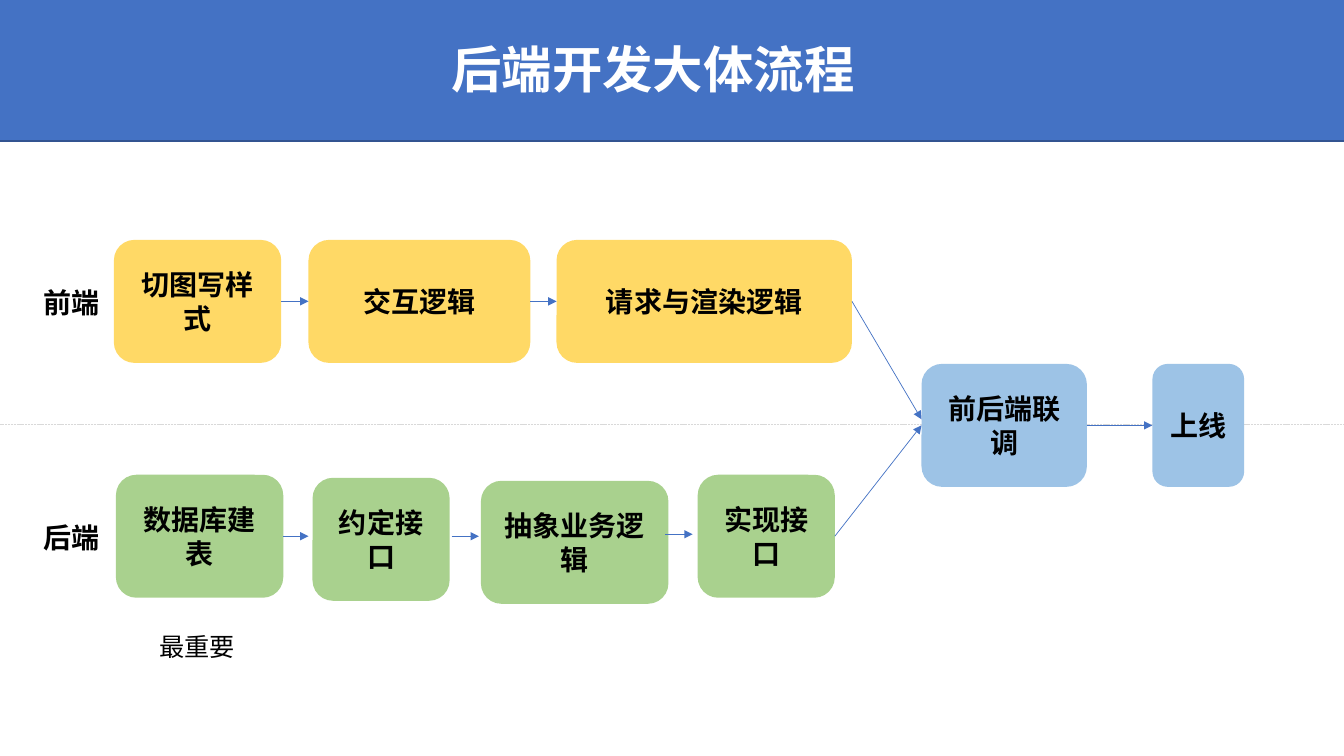
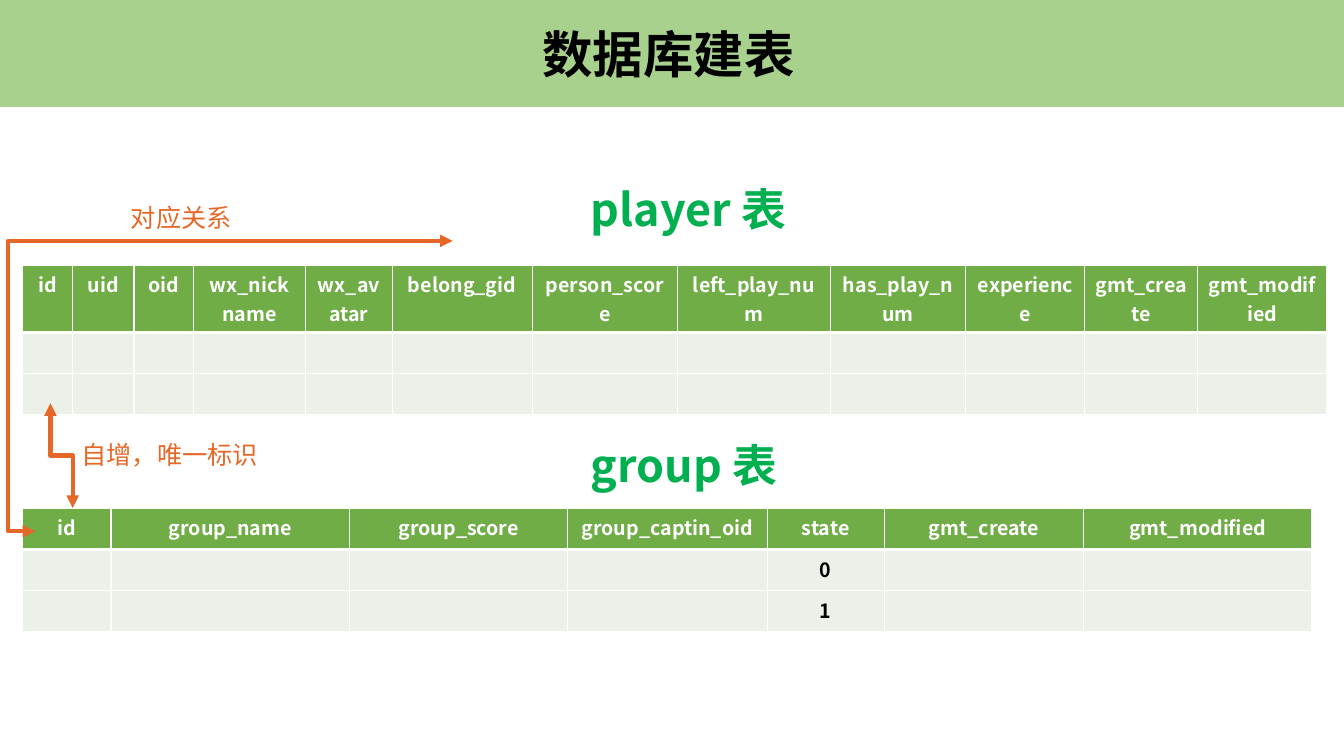
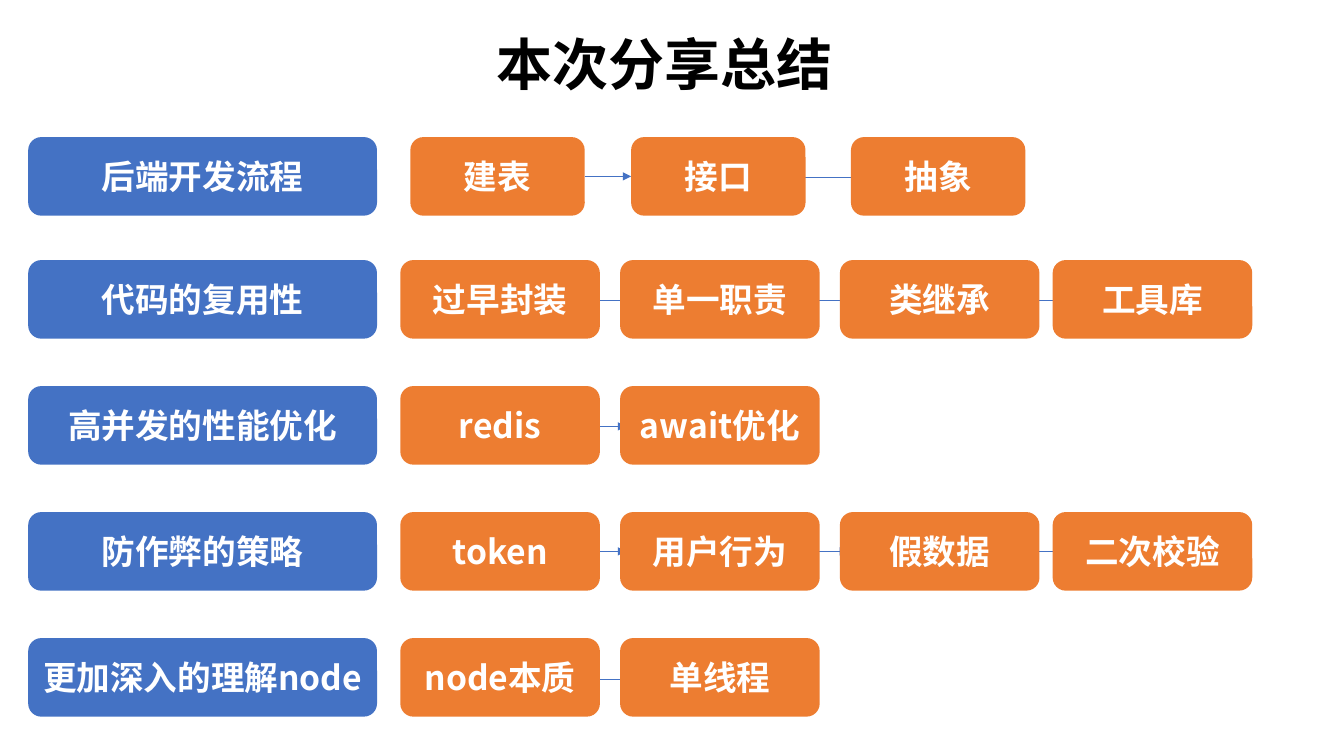
import pptx
import pptx.util
import pptx.dml.color
import pptx.enum.dml
import pptx.enum.shapes
import pptx.enum.text
import pptx.oxml
import pptx.oxml.ns

PX = 9144
FONT = "Noto Sans CJK SC"
COLORS = {
    "white": "FFFFFF", "black": "000000", "blue": "4472C4", "navy": "325491",
    "yellow": "FFD966", "sky": "9DC3E6", "leaf": "A9D18E", "grey": "D9D9D9",
    "header": "70AD47", "body": "EBF1E9", "green": "00B050",
    "rust": "E66826", "orange": "ED7D31",
}
SHAPE = pptx.enum.shapes.MSO_SHAPE
LINK = pptx.enum.shapes.MSO_CONNECTOR
ALIGN = pptx.enum.text.PP_ALIGN

FLOW_TITLE = "后端开发大体流程"
FLOW_HEIGHT = 122
FLOW_BOXES = [
    ("切图写样式", 113, 238, 166, "yellow"),
    ("交互逻辑", 306, 238, 220, "yellow"),
    ("请求与渲染逻辑", 552, 238, 293, "yellow"),
    ("前后端联调", 914, 361, 164, "sky"),
    ("上线", 1143, 361, 91, "sky"),
    ("数据库建表", 115, 471, 166, "leaf"),
    ("抽象业务逻辑", 477, 477, 186, "leaf"),
    ("约定接口", 310, 474, 136, "leaf"),
    ("实现接口", 692, 471, 136, "leaf"),
]
FLOW_LINKS = [
    ("切图写样式", "交互逻辑"),
    ("交互逻辑", "请求与渲染逻辑"),
    ("请求与渲染逻辑", (914, 416)),
    ("数据库建表", (306, 532)),
    ((448, 532), (475, 532)),
    ((660, 530), (687, 530)),
    ("实现接口", "前后端联调"),
    ("前后端联调", "上线"),
]
FLOW_LABELS = [("前端", 278), ("后端", 511)]

TABLE_TITLE = "数据库建表"
ROW_HEIGHT = 41
TABLES = [
    {
        "name": "player 表", "name_top": 175, "top": 263,
        "columns": [
            ("id", 50), ("uid", 61), ("oid", 59), ("wx_nickname", 111),
            ("wx_avatar", 86), ("belong_gid", 139), ("person_score", 144),
            ("left_play_num", 152), ("has_play_num", 134),
            ("experience", 118), ("gmt_create", 112), ("gmt_modified", 128),
        ],
        "rows": [{}, {}],
    },
    {
        "name": "group 表", "name_top": 429, "top": 504,
        "columns": [
            ("id", 88), ("group_name", 237), ("group_score", 216),
            ("group_captin_oid", 198), ("state", 116),
            ("gmt_create", 198), ("gmt_modified", 226),
        ],
        "rows": [{"state": "0"}, {"state": "1"}],
    },
]
TABLE_NOTES = [("自增，唯一标识", 71, 431, 197), ("对应关系", 120, 196, 121)]

SUMMARY_TITLE = "本次分享总结"
SUMMARY_HEIGHT = 78
WIDE_STEPS = (198, (397, 615, 833, 1044))
SUMMARY_ROWS = [
    ("后端开发流程", 136, 176, ("建表", "接口", "抽象"),
     (173, (407, 626, 844)), [(580, 626), (769, 859)]),
    ("代码的复用性", 258, 298, ("过早封装", "单一职责", "类继承", "工具库"),
     WIDE_STEPS, [(580, 642), (781, 843), (1000, 1062)]),
    ("高并发的性能优化", 383, 423, ("redis", "await优化"),
     WIDE_STEPS, [(559, 621)]),
    ("防作弊的策略", 508, 547, ("token", "用户行为", "假数据", "二次校验"),
     WIDE_STEPS, [(559, 621), (779, 841), (998, 1060)]),
    ("更加深入的理解node", 633, 674, ("node本质", "单线程"),
     WIDE_STEPS, [(562, 624)]),
]


def px(*lengths):
    return [pptx.util.Emu(length * PX) for length in lengths]


def rgb(name):
    return pptx.dml.color.RGBColor.from_string(COLORS[name])


def add_xml(parent, tag, **attributes):
    element = pptx.oxml.parse_xml(f"<a:{tag} {pptx.oxml.ns.nsdecls('a')}/>")
    for key, value in attributes.items():
        element.set(key, value)
    parent.append(element)
    return element


def write(frame, text, size=20, color="black", bold=True, align=ALIGN.CENTER):
    para = frame.paragraphs[0]
    para.alignment = align
    span = para.add_run()
    span.text = text
    span.font.size = pptx.util.Pt(size)
    span.font.bold = bold
    span.font.name = FONT
    span.font.color.rgb = rgb(color)
    add_xml(span.font._element, "ea", typeface=FONT)


def add_box(page, text, bounds, fill, kind=SHAPE.ROUNDED_RECTANGLE, outline=None, **style):
    box = page.shapes.add_shape(kind, *px(*bounds))
    box.shadow.inherit = False
    box.fill.solid()
    box.fill.fore_color.rgb = rgb(fill)
    if outline:
        box.line.color.rgb = rgb(outline)
        box.line.width = pptx.util.Pt(1)
    else:
        box.line.fill.background()
    box.text_frame.word_wrap = True
    box.text_frame.vertical_anchor = pptx.enum.text.MSO_ANCHOR.MIDDLE
    write(box.text_frame, text, **style)
    return box


def add_label(page, text, bounds, wrap=False, **style):
    frame = page.shapes.add_textbox(*px(*bounds)).text_frame
    frame.word_wrap = wrap
    frame.auto_size = pptx.enum.text.MSO_AUTO_SIZE.SHAPE_TO_FIT_TEXT
    write(frame, text, align=ALIGN.LEFT, **style)


def add_line(page, start, end, color="blue", width=0.5, kind=LINK.STRAIGHT,
             dash=None, arrows=("tailEnd",)):
    line = page.shapes.add_connector(kind, *px(*start, *end))
    line.line.color.rgb = rgb(color)
    line.line.width = pptx.util.Pt(width)
    if dash:
        line.line.dash_style = dash
    for arrow in arrows:
        add_xml(line.line._get_or_add_ln(), arrow, type="triangle")
    add_xml(line._element.spPr, "effectLst")
    return line


def add_border(cell, widths):
    properties = cell._tc.get_or_add_tcPr()
    for index, (side, width) in enumerate(widths.items()):
        edge = add_xml(properties, "ln" + side, w=str(pptx.util.Pt(width)))
        add_xml(add_xml(edge, "solidFill"), "srgbClr", val=COLORS["white"])
        properties.insert(index, edge)


def add_data_table(page, data):
    names, widths = zip(*data["columns"])
    rows = [dict(zip(names, names))] + data["rows"]
    bounds = px(22, data["top"], sum(widths), ROW_HEIGHT * len(rows))
    table = page.shapes.add_table(len(rows), len(names), *bounds).table
    for column, width in zip(table.columns, widths):
        column.width = px(width)[0]
    for r, row in enumerate(rows):
        table.rows[r].height = px(ROW_HEIGHT)[0]
        for c, name in enumerate(names):
            cell = table.cell(r, c)
            cell.fill.solid()
            cell.fill.fore_color.rgb = rgb("body" if r else "header")
            add_border(cell, {"L": 1, "R": 1, "T": 3 if r == 1 else 1, "B": 1 if r else 3})
            if name in row:
                write(cell.text_frame, row[name], size=14, color="black" if r else "white")


def build_flow(page):
    add_box(page, FLOW_TITLE, (-50, -4, 1395, 144), "blue", kind=SHAPE.RECTANGLE,
            outline="navy", size=36, color="white")
    add_line(page, (-29, 421), (1457, 421), color="grey", arrows=(),
             dash=pptx.enum.dml.MSO_LINE.SQUARE_DOT)
    boxes = {text: add_box(page, text, (left, top, width, FLOW_HEIGHT), fill)
             for text, left, top, width, fill in FLOW_BOXES}
    for text, top in FLOW_LABELS:
        add_label(page, text, (33, top, 96, 44), wrap=True)
    for start, end in FLOW_LINKS:
        line = add_line(page, (0, 0) if start in boxes else start,
                        (0, 0) if end in boxes else end)
        if start in boxes:
            line.begin_connect(boxes[start], 3)
        if end in boxes:
            line.end_connect(boxes[end], 1)
    add_label(page, "最重要", (148, 621, 96, 40), size=18, bold=False)


def build_tables(page):
    add_box(page, TABLE_TITLE, (-130, 0, 1586, 106), "leaf", size=36)
    for data in TABLES:
        add_data_table(page, data)
        add_label(page, data["name"], (576, data["name_top"], 282, 64), wrap=True,
                  size=32, color="green")
    elbow = {"color": "rust", "width": 3, "kind": LINK.ELBOW,
             "arrows": ("headEnd", "tailEnd")}
    id_link = add_line(page, (113, 441), (9, 463), **elbow)
    id_link._element.spPr.find(pptx.oxml.ns.qn("a:xfrm")).set("rot", "16200000")
    group_link = add_line(page, (449, 239), (35, 527), **elbow)
    guides = group_link._element.spPr.find(".//" + pptx.oxml.ns.qn("a:avLst"))
    add_xml(guides, "gd", name="adj1", fmla="val 106500")
    for text, left, top, width in TABLE_NOTES:
        add_label(page, text, (left, top, width, 40), size=18, color="rust", bold=False)


def build_summary(page):
    style = {"size": 24, "color": "white"}
    for topic, top, line_y, steps, (width, lefts), spans in SUMMARY_ROWS:
        lines = [add_line(page, (start, line_y), (end, line_y)) for start, end in spans]
        add_box(page, topic, (28, top, 346, SUMMARY_HEIGHT), "blue", **style)
        boxes = [add_box(page, step, (left, top, width, SUMMARY_HEIGHT), "orange", **style)
                 for step, left in zip(steps, lefts)]
        for i, (line, span) in enumerate(zip(lines, spans)):
            if span == (lefts[i] + width, lefts[i + 1]):
                line.begin_connect(boxes[i], 3)
                line.end_connect(boxes[i + 1], 1)
    add_label(page, SUMMARY_TITLE, (483, 24, 357, 77), size=40)


def main():
    deck = pptx.Presentation()
    deck.slide_width, deck.slide_height = px(1333, 750)
    for build in (build_flow, build_tables, build_summary):
        build(deck.slides.add_slide(deck.slide_layouts[6]))
    deck.save("out.pptx")


if __name__ == "__main__":
    main()
